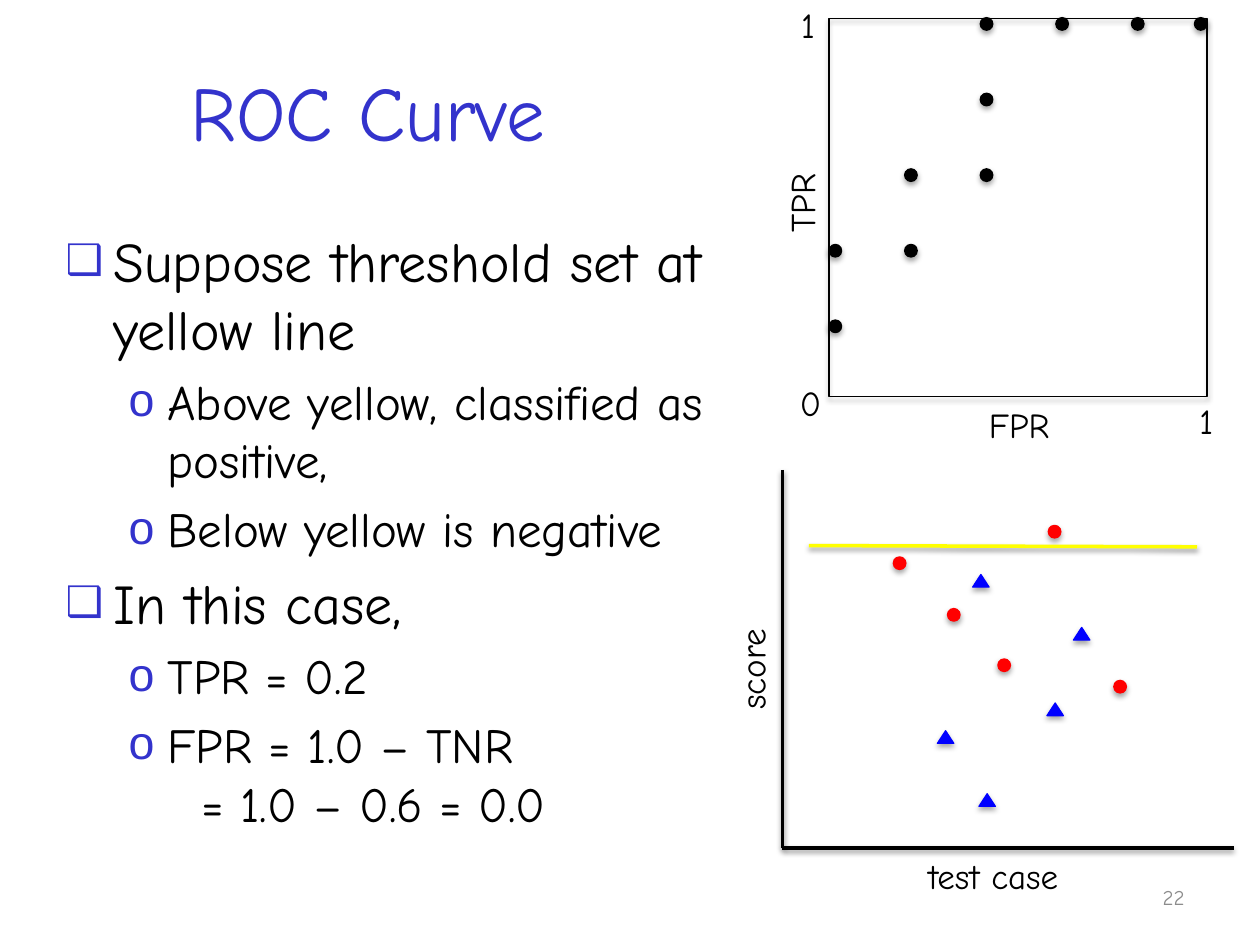
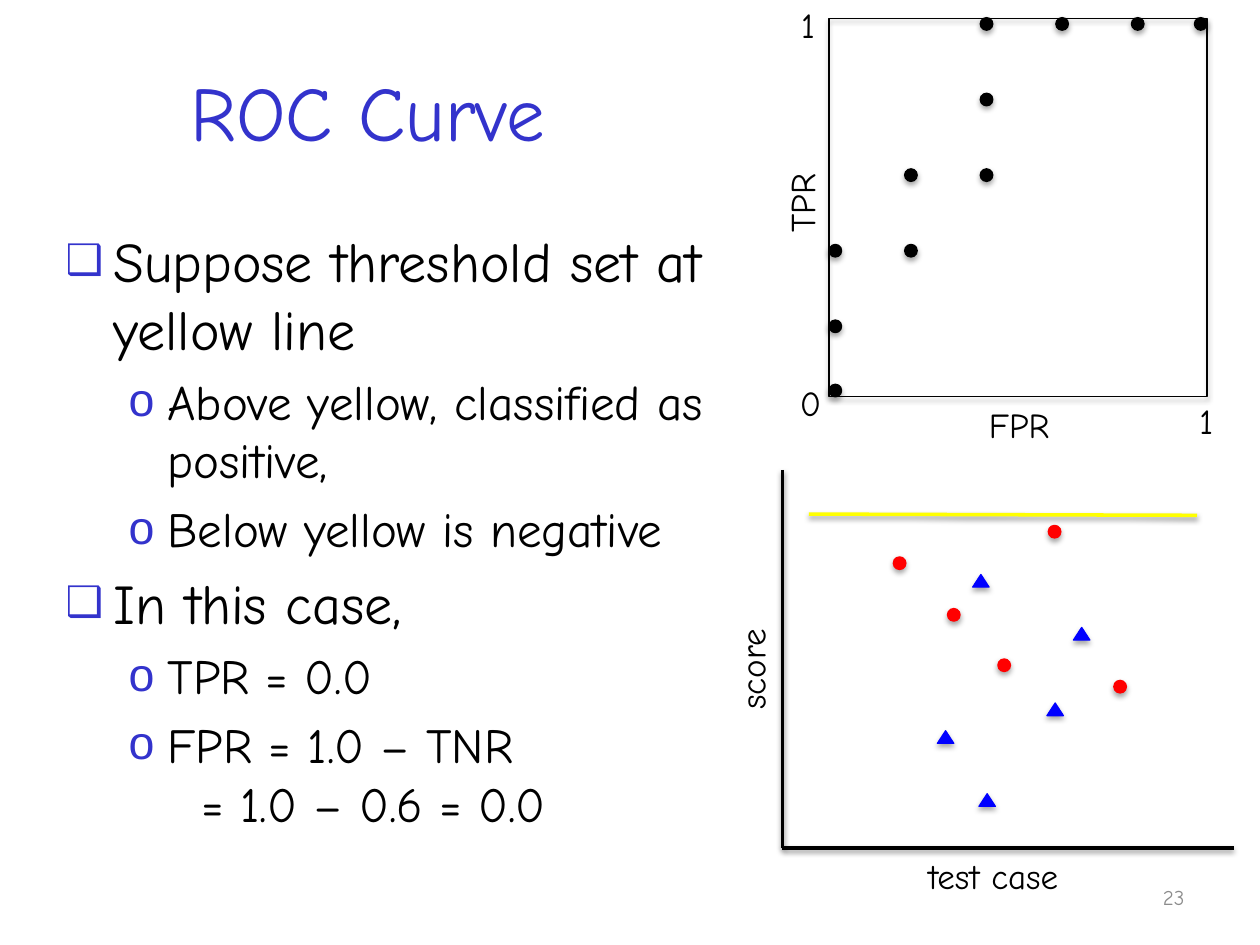
from lxml.etree import SubElement
from pptx import Presentation
from pptx.dml.color import RGBColor
from pptx.enum.shapes import MSO_CONNECTOR, MSO_SHAPE
from pptx.enum.text import MSO_ANCHOR, MSO_AUTO_SIZE, PP_ALIGN
from pptx.oxml.ns import qn
from pptx.util import Inches, Pt

FONT = "Comic Neue"
COLORS = {
    "heading": "3333CC",
    "text": "000000",
    "number": "8C8C8C",
    "axis": "000000",
    "positive": "FF0000",
    "negative": "0000FF",
    "threshold": "FFFF00",
    "roc": "000000",
}
# Per list level: left margin, hanging indent, font size, bullet, bullet size
LEVELS = [
    (0.38, -0.38, 32, "\u2751", 75),
    (0.81, -0.31, 28, "o", 95),
]
CONTINUATION_MARGIN = 1.08
MARK = 0.1

POSITIVES = [(7.09, 4.42), (8.32, 4.17), (7.52, 4.83), (7.92, 5.23), (8.84, 5.4)]
NEGATIVES = [(7.44, 5.8), (7.72, 4.56), (8.31, 5.58), (8.52, 4.98), (7.77, 6.3)]

ROC_LEFT, ROC_TOP, ROC_SIDE = 6.58, 0.15, 3
ROC_POINTS = [  # (FPR, TPR)
    (1, 1), (0.8, 1), (0.6, 1), (0.4, 1), (0.4, 0.8), (0.4, 0.6),
    (0.2, 0.6), (0.2, 0.4), (0, 0.4), (0, 0.2),
]


def rgb(role):
    """Return the colour that belongs to a role."""
    return RGBColor.from_string(COLORS[role])


def place(shape, left, top, width, height):
    """Move and size a shape, in inches."""
    shape.left, shape.top = Inches(left), Inches(top)
    shape.width, shape.height = Inches(width), Inches(height)


def style_runs(paragraph, size, role):
    """Give every run of a paragraph its font, size and colour."""
    for run in paragraph.runs:
        run.font.name = FONT
        run.font.size = Pt(size)
        run.font.color.rgb = rgb(role)


def add_shadow(shape, opacity, distance):
    """Add a soft shadow that falls straight down."""
    effects = SubElement(shape.element.spPr, qn("a:effectLst"))
    shadow = SubElement(effects, qn("a:outerShdw"), blurRad=str(Pt(3.1)),
                        dist=str(Pt(distance)), dir="5400000", rotWithShape="0")
    black = SubElement(shadow, qn("a:srgbClr"), val="000000")
    SubElement(black, qn("a:alpha"), val=str(opacity * 1000))


def set_bullet(paragraph, margin, indent, char=None, percent=100):
    """Set a paragraph's indents and its bullet, or no bullet."""
    props = paragraph._p.get_or_add_pPr()
    props.set("marL", str(Inches(margin)))
    props.set("indent", str(Inches(indent)))
    if char is None:
        SubElement(props, qn("a:buNone"))
        return
    color = SubElement(props, qn("a:buClr"))
    SubElement(color, qn("a:srgbClr"), val=COLORS["heading"])
    SubElement(props, qn("a:buSzPct"), val=str(percent * 1000))
    SubElement(props, qn("a:buChar"), char=char)


def add_title(slide, text):
    """Fill and place the title."""
    title = slide.shapes.title
    place(title, 0.17, 0.25, 5.5, 1.25)
    title.text_frame.text = text
    title.text_frame.vertical_anchor = MSO_ANCHOR.MIDDLE
    heading = title.text_frame.paragraphs[0]
    heading.alignment = PP_ALIGN.CENTER
    style_runs(heading, 44, "heading")


def add_list(slide, items):
    """Fill the body with (level, text) items; level None continues a line."""
    body = slide.placeholders[1]
    place(body, 0.42, 1.75, 5.33, 5)
    frame = body.text_frame
    frame.auto_size = MSO_AUTO_SIZE.NONE
    frame.text = "\n".join(text for _, text in items)
    for paragraph, (level, _) in zip(frame.paragraphs, items):
        continued = level is None
        paragraph.level = 1 if continued else level
        margin, indent, size, char, percent = LEVELS[paragraph.level]
        paragraph.space_before = Pt(0 if continued else size * 0.2)
        if continued:
            set_bullet(paragraph, CONTINUATION_MARGIN, 0)
        else:
            set_bullet(paragraph, margin, indent, char, percent)
        style_runs(paragraph, size, "text")


def add_page_number(slide, number):
    """Write the page number at the lower right."""
    box = slide.shapes.add_textbox(Inches(7.17), Inches(6.92), Inches(2.33), Inches(0.4))
    frame = box.text_frame
    frame.word_wrap = True
    frame.vertical_anchor = MSO_ANCHOR.MIDDLE
    frame.text = str(number)
    frame.paragraphs[0].alignment = PP_ALIGN.RIGHT
    style_runs(frame.paragraphs[0], 12, "number")


def add_label(shapes, text, left, top, width, rotation=0):
    """Add a one-line plot label."""
    label = shapes.add_textbox(Inches(left), Inches(top), Inches(width), Inches(0.44))
    label.rotation = rotation
    frame = label.text_frame
    frame.word_wrap = False
    frame.auto_size = MSO_AUTO_SIZE.SHAPE_TO_FIT_TEXT
    frame.text = text
    style_runs(frame.paragraphs[0], 20, "text")


def add_line(shapes, start, end, role):
    """Add a shadowed straight line."""
    line = shapes.add_connector(MSO_CONNECTOR.STRAIGHT, *map(Inches, start + end))
    line.line.color.rgb = rgb(role)
    line.line.width = Pt(2)
    add_shadow(line, 38, 1.6)


def add_figure(shapes, preset, left, top, width, height, role, filled=True):
    """Add a shadowed outline or filled mark."""
    figure = shapes.add_shape(preset, *map(Inches, (left, top, width, height)))
    if filled:
        figure.fill.solid()
        figure.fill.fore_color.rgb = rgb(role)
    else:
        figure.fill.background()
    figure.line.color.rgb = rgb(role)
    figure.line.width = Pt(0.75)
    add_shadow(figure, 35, 1.8)


def add_score_plot(shapes, threshold):
    """Draw the scores of the test cases and the threshold line."""
    origin = (6.21, 6.73)
    add_line(shapes, (6.21, 3.73), origin, "axis")
    add_line(shapes, origin, (9.79, 6.73), "axis")
    add_label(shapes, "score", 5.51, 5.05, 0.92, 270)
    add_label(shapes, "test case", 7.27, 6.73, 1.42)
    for left, top in NEGATIVES:
        add_figure(shapes, MSO_SHAPE.ISOSCELES_TRIANGLE, left, top, 0.13, MARK, "negative")
    for left, top in POSITIVES:
        add_figure(shapes, MSO_SHAPE.OVAL, left, top, MARK, MARK, "positive")
    add_line(shapes, (6.42, threshold), (9.5, threshold + 0.01), "threshold")


def add_roc_plot(shapes, points):
    """Draw the ROC square with its points kept inside the frame."""
    add_label(shapes, "TPR", 6.01, 1.37, 0.71, 270)
    add_label(shapes, "FPR", 7.75, 3.15, 0.69)
    add_figure(shapes, MSO_SHAPE.RECTANGLE, ROC_LEFT, ROC_TOP, ROC_SIDE, ROC_SIDE,
               "axis", filled=False)
    add_label(shapes, "1", 9.42, 3.12, 0.33)
    add_label(shapes, "1", 6.26, -0.02, 0.33)
    add_label(shapes, "0", 6.25, 2.98, 0.37)
    inside = ROC_SIDE - MARK
    for fpr, tpr in points:
        left = ROC_LEFT + min(ROC_SIDE * fpr, inside)
        top = ROC_TOP + min(ROC_SIDE * (1 - tpr) - 0.01, inside)
        add_figure(shapes, MSO_SHAPE.OVAL, left, top, MARK, MARK, "roc")


def add_roc_slide(prs, number, tpr, threshold, points):
    """Build one step of the ROC example."""
    slide = prs.slides.add_slide(prs.slide_layouts[1])
    add_title(slide, "ROC Curve")
    add_list(slide, [
        (0, "Suppose threshold set at yellow line"),
        (1, "Above yellow, classified as positive,"),
        (1, "Below yellow is negative"),
        (0, "In this case,"),
        (1, f"TPR = {tpr}"),
        (1, "FPR = 1.0 \u2013 TNR"),
        (None, "= 1.0 \u2013 0.6 = 0.0"),
    ])
    add_page_number(slide, number)
    add_score_plot(slide.shapes, threshold)
    add_roc_plot(slide.shapes.add_group_shape().shapes, points)


def main():
    """Build and save the presentation."""
    prs = Presentation()
    prs.slide_width, prs.slide_height = Inches(10), Inches(7.5)
    add_roc_slide(prs, 22, "0.2", 4.33, ROC_POINTS)
    add_roc_slide(prs, 23, "0.0", 4.08, ROC_POINTS + [(0, 0)])
    prs.save("out.pptx")


main()
